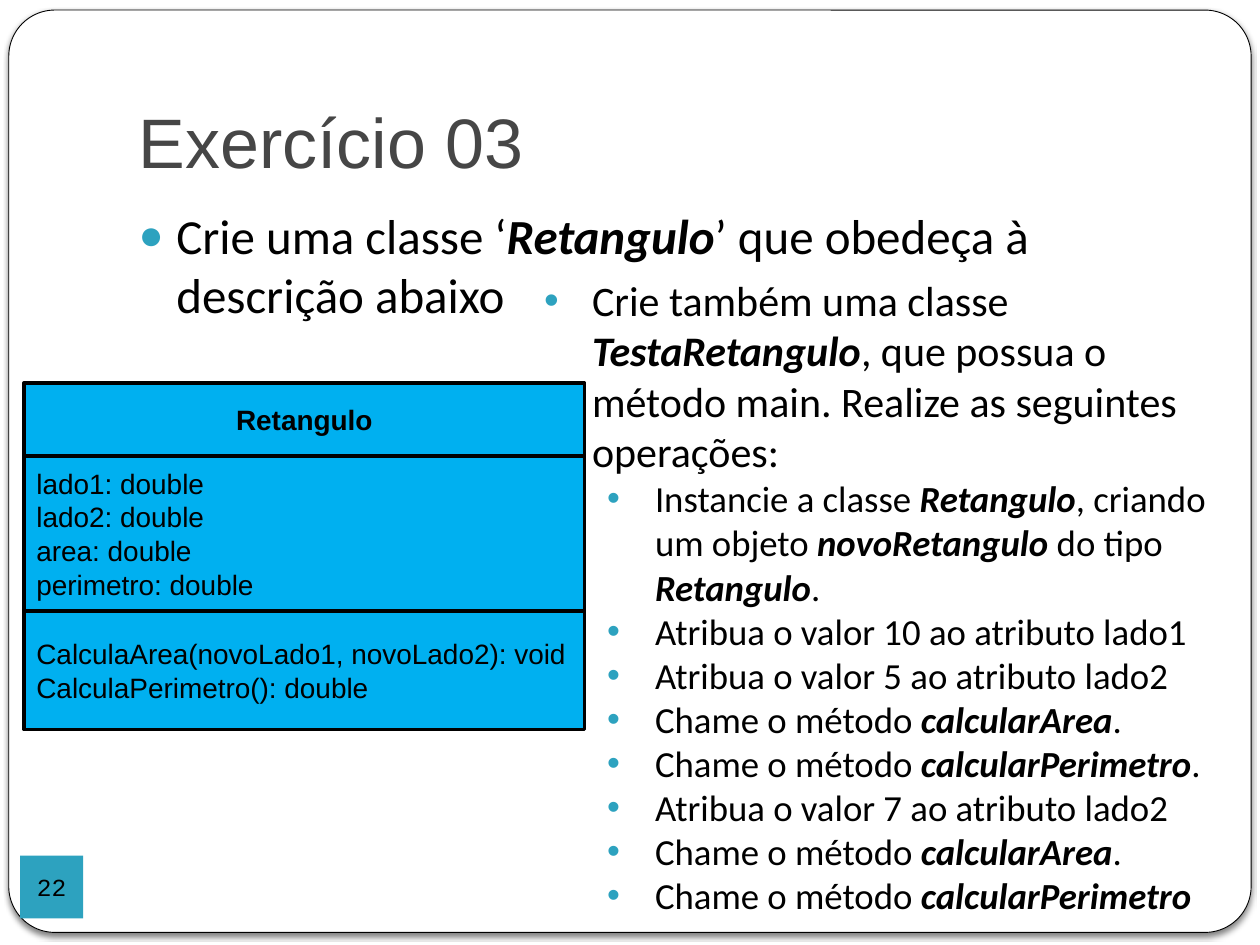
from lxml.etree import SubElement
from pptx import Presentation
from pptx.dml.color import RGBColor
from pptx.enum.shapes import MSO_SHAPE as Kind
from pptx.enum.text import MSO_ANCHOR as Anchor, MSO_AUTO_SIZE as Fit, PP_ALIGN as Align
from pptx.oxml.ns import qn
from pptx.util import Emu, Pt

SCALE = 9144
BLACK, WHITE, TEAL, BLUE, GREY = "000000", "FFFFFF", "2DA2BF", "00B0F0", "464646"

TASK = "Crie uma classe ‘*Retangulo*’ que obedeça à descrição abaixo"
TEST = ("Crie também uma classe *TestaRetangulo*, que possua o método main. "
        "Realize as seguintes operações:")
STEPS = [
    "Instancie a classe *Retangulo*, criando um objeto *novoRetangulo* do tipo *Retangulo*.",
    "Atribua o valor 10 ao atributo lado1",
    "Atribua o valor 5 ao atributo lado2",
    "Chame o método *calcularArea*.",
    "Chame o método *calcularPerimetro*.",
    "Atribua o valor 7 ao atributo lado2",
    "Chame o método *calcularArea*.",
    "Chame o método *calcularPerimetro*",
]
PARTS = [
    (58, ["*Retangulo*"]),
    (123, ["lado1: double", "lado2: double", "area: double", "perimetro: double"]),
    (94, ["CalculaArea(novoLado1, novoLado2): void", "CalculaPerimetro(): double"]),
]


def px(n):
    return Emu(n * SCALE)


def paint(color, code):
    color.rgb = RGBColor.from_string(code)


def assign(item, values):
    for name, value in values.items():
        setattr(item, name, value)


def place(shape, *box):
    assign(shape, dict(zip(("left", "top", "width", "height"), map(px, box))))


def setup(frame, anchor, pads=(10, 5, 10, 5)):
    names = ("margin_left", "margin_top", "margin_right", "margin_bottom")
    assign(frame, dict(zip(names, map(px, pads))))
    assign(frame, {"word_wrap": True, "auto_size": Fit.NONE, "vertical_anchor": anchor})


def write(para, text, font, size, code=BLACK, align=Align.LEFT, before=0, italic=True):
    assign(para, {"alignment": align, "space_before": Pt(before)})
    for i, piece in enumerate(text.split("*")):
        if piece:
            run = para.add_run()
            run.text = piece
            strong = i % 2 == 1
            assign(run.font, {"name": font, "size": Pt(size),
                              "bold": strong, "italic": strong and italic})
            paint(run.font.color, code)


def bullet(para, sign, left, hang, size=100):
    props = para._p.get_or_add_pPr()
    props.set("marL", str(px(left)))
    props.set("indent", str(px(-hang)))
    color = SubElement(props, qn("a:buClr"))
    SubElement(color, qn("a:srgbClr"), val=TEAL)
    SubElement(props, qn("a:buSzPct"), val=str(size * 1000))
    SubElement(props, qn("a:buFont"), typeface="Arial")
    SubElement(props, qn("a:buChar"), char=sign)


def add_box(shapes, kind, box, fill, line=0):
    shape = shapes.add_shape(kind, *map(px, box))
    shape.shadow.inherit = False
    shape.fill.solid()
    paint(shape.fill.fore_color, fill)
    if line:
        shape.line.width = Pt(line)
        paint(shape.line.color, BLACK)
    else:
        shape.line.fill.background()
    return shape


def add_frame(slide):
    shape = add_box(slide.shapes, Kind.ROUNDED_RECTANGLE, (7, 8, 986, 732), WHITE, 0.5)
    shape.adjustments[0] = 0.05
    glow = SubElement(shape._element.spPr.find(qn("a:effectLst")), qn("a:outerShdw"),
                      blurRad=str(Pt(3)), dist=str(Pt(2)), dir="5400000", rotWithShape="0")
    color = SubElement(glow, qn("a:srgbClr"), val=BLACK)
    SubElement(color, qn("a:alpha"), val="50000")
    slide.shapes._spTree.insert(2, shape._element)


def add_heads(slide):
    title, body = slide.placeholders
    place(title, 100, 30, 850, 125)
    setup(title.text_frame, Anchor.BOTTOM, (10, 5, 10, 10))
    write(title.text_frame.paragraphs[0], "Exercício 03", "Arial", 40, GREY)
    place(body, 100, 158, 880, 500)
    setup(body.text_frame, Anchor.TOP)
    para = body.text_frame.paragraphs[0]
    write(para, TASK, "Calibri", 28, before=5.8)
    bullet(para, "●", 30, 30, 85)


def add_badge(slide):
    frame = add_box(slide.shapes, Kind.RECTANGLE, (16, 679, 50, 50), TEAL).text_frame
    setup(frame, Anchor.MIDDLE, (0, 0, 0, 0))
    write(frame.paragraphs[0], "22", "Courier New", 14, align=Align.CENTER)


def add_class(slide):
    group = slide.shapes.add_group_shape()
    top = 304
    for i, (high, lines) in enumerate(PARTS):
        frame = add_box(group.shapes, Kind.RECTANGLE, (19, top, 445, high), BLUE, 2).text_frame
        setup(frame, Anchor.MIDDLE)
        for j, text in enumerate(lines):
            para = frame.add_paragraph() if j else frame.paragraphs[0]
            write(para, text, "Arial", 16, italic=False,
                  align=Align.LEFT if i else Align.CENTER)
        top += high


def add_steps(slide):
    frame = slide.shapes.add_textbox(*map(px, (422, 213, 559, 727))).text_frame
    setup(frame, Anchor.TOP)
    write(frame.paragraphs[0], TEST, "Calibri", 24)
    bullet(frame.paragraphs[0], "•", 38, 38)
    for text in STEPS:
        para = frame.add_paragraph()
        para.level = 1
        write(para, text, "Calibri", 21)
        bullet(para, "•", 88, 38)


def main():
    deck = Presentation()
    assign(deck, {"slide_width": px(1000), "slide_height": px(750)})
    slide = deck.slides.add_slide(deck.slide_layouts[1])
    add_frame(slide)
    add_heads(slide)
    add_badge(slide)
    add_class(slide)
    add_steps(slide)
    deck.save("out.pptx")


if __name__ == "__main__":
    main()
